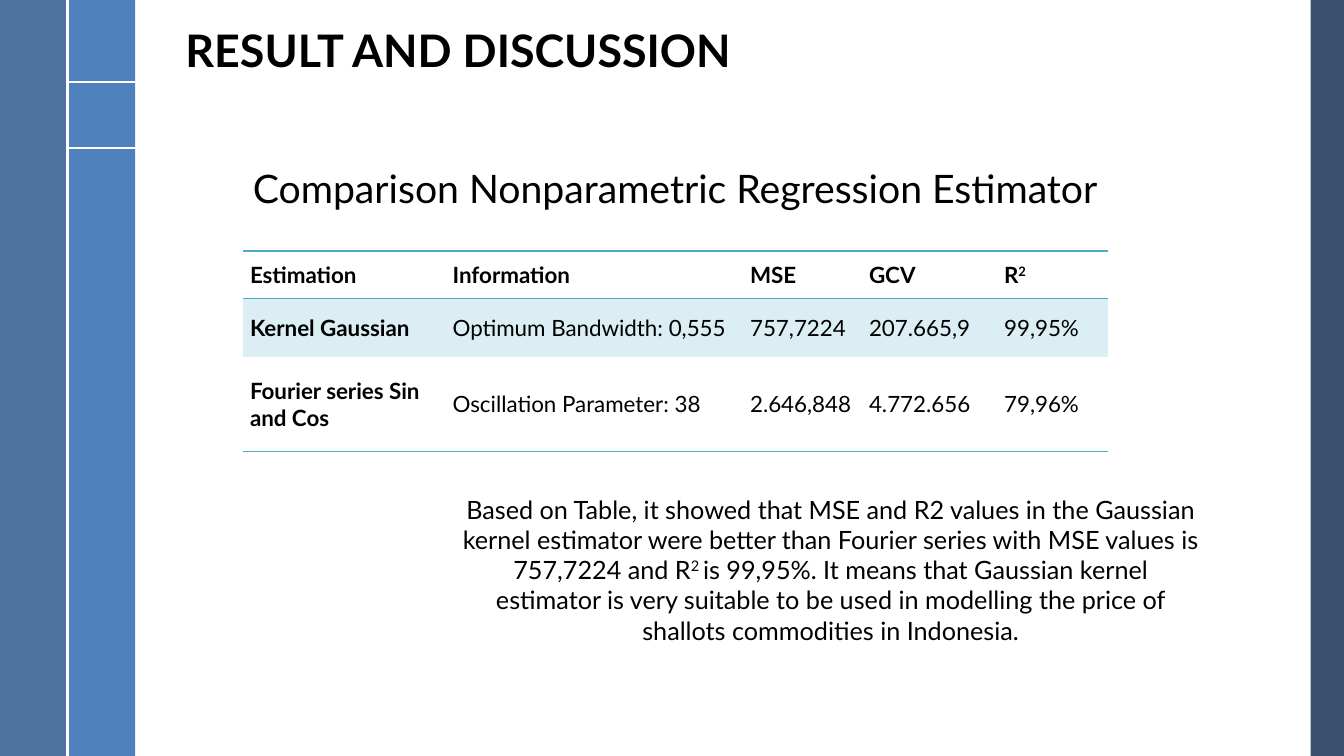
from lxml.etree import SubElement
from pptx import Presentation
from pptx.dml.color import RGBColor
from pptx.enum.shapes import MSO_CONNECTOR, MSO_SHAPE
from pptx.enum.text import MSO_ANCHOR, PP_ALIGN
from pptx.oxml import parse_xml
from pptx.oxml.ns import nsdecls, qn
from pptx.util import Pt

EMU_PER_PX = 9144  # 100 px to the inch
WIDTH, HEIGHT = 1333, 750
FONT = "Lato"
COLORS = {
    "ink": "000000", "white": "FFFFFF", "teal": "4BACC6",
    "blue": "4F81BD", "steel": "376092", "navy": "254061",
}


def px(length):
    return length * EMU_PER_PX


def rgb(name):
    return RGBColor.from_string(COLORS[name])


def assign(target, values):
    for name, value in values.items():
        setattr(target, name, value)


class SlideBuilder:
    def __init__(self, deck):
        self.page = deck.slides.add_slide(deck.slide_layouts[6])

    def paint(self, fill, element, color, opacity=100):
        fill.solid()
        fill.fore_color.rgb = rgb(color)
        if opacity < 100:
            tone = next(element.iter(qn("a:srgbClr")))
            SubElement(tone, qn("a:alpha"), val=str(opacity * 1000))

    def add_spans(self, frame, spans, size, bold=False, **para_format):
        """Fill a frame with (text, is_superscript) spans."""
        para = frame.paragraphs[0]
        assign(para, para_format)
        for text, raised in spans:
            span = para.add_run()
            span.text = text
            assign(span.font, {"name": FONT, "size": Pt(size), "bold": bold})
            span.font.color.rgb = rgb("ink")
            if raised:
                span.font._element.set("baseline", "30000")

    def bar(self, left, width, color, opacity=100):
        bar = self.page.shapes.add_shape(
            MSO_SHAPE.RECTANGLE, px(left), 0, px(width), px(HEIGHT))
        bar.shadow.inherit = False
        bar.line.fill.background()
        self.paint(bar.fill, bar._element, color, opacity)

    def line(self, *ends):
        line = self.page.shapes.add_connector(
            MSO_CONNECTOR.STRAIGHT, *map(px, ends))
        line.line.color.rgb = rgb("white")
        line.line.width = Pt(1.5)
        SubElement(line._element.spPr, qn("a:effectLst"))

    def text(self, place, spans, size, anchor=MSO_ANCHOR.TOP, **style):
        box = self.page.shapes.add_textbox(*map(px, place))
        assign(box.text_frame, {"word_wrap": True, "vertical_anchor": anchor})
        self.add_spans(box.text_frame, spans, size, **style)

    def borders(self, cell, ruled):
        """Rule the named sides of a cell and clear the others."""
        properties = cell._tc.get_or_add_tcPr()
        for index, side in enumerate("LRTB"):
            paint = "<a:noFill/>"
            if side in ruled:
                paint = (f'<a:solidFill><a:srgbClr val="{COLORS["teal"]}"/>'
                         "</a:solidFill>")
            properties.insert(index, parse_xml(
                f'<a:ln{side} {nsdecls("a")} w="12700">{paint}</a:ln{side}>'))

    def table(self, left, top, widths, heights, rows):
        table = self.page.shapes.add_table(
            len(rows), len(widths), px(left), px(top),
            px(sum(widths)), px(sum(heights))).table
        assign(table, {"first_row": False, "horz_banding": False})
        for column, width in zip(table.columns, widths):
            column.width = px(width)
        ruled_sides = ("TB", "T", "B")
        for r, (row, height) in enumerate(zip(rows, heights)):
            table.rows[r].height = px(height)
            for c, spans in enumerate(row):
                cell = table.cell(r, c)
                assign(cell, {
                    "vertical_anchor": MSO_ANCHOR.MIDDLE,
                    "margin_left": px(7), "margin_right": px(7),
                    "margin_top": 0, "margin_bottom": 0,
                })
                if r == 1:
                    self.paint(cell.fill, cell._tc, "teal", 20)
                else:
                    cell.fill.background()
                self.borders(cell, ruled_sides[r])
                self.add_spans(cell.text_frame, spans, 16,
                               bold=r == 0 or c == 0)


def plain(*texts):
    return [[(text, False)] for text in texts]


def main():
    deck = Presentation()
    assign(deck, {"slide_width": px(WIDTH), "slide_height": px(HEIGHT)})
    slide = SlideBuilder(deck)

    # Side bars and their dividers
    slide.bar(1300, 33, "navy", 90)
    slide.bar(67, 67, "blue")
    slide.bar(0, 67, "steel", 88)
    for y in (81, 147):
        slide.line(67, y, 134, y)
    slide.line(67, 0, 67, HEIGHT)

    # Headings
    slide.text((174, 24, 1122, 58), [("RESULT AND DISCUSSION", False)], 32,
               MSO_ANCHOR.MIDDLE, bold=True, line_spacing=0.9)
    slide.text((241, 155, 1000, 63),
               [("Comparison Nonparametric Regression Estimator", False)], 28,
               MSO_ANCHOR.MIDDLE)

    # Comparison table
    slide.table(241, 249, (201, 295, 118, 134, 110), (47, 58, 94), [
        plain("Estimation", "Information", "MSE", "GCV")
        + [[("R", False), ("2", True)]],
        plain("Kernel Gaussian", "Optimum Bandwidth: 0,555", "757,7224",
              "207.665,9", "99,95%"),
        plain("Fourier series Sin and Cos", "Oscillation Parameter: 38",
              "2.646,848", "4.772.656", "79,96%"),
    ])

    # Conclusion
    slide.text((446, 485, 756, 162), [
        ("Based on Table, it showed that MSE and R2 values in the Gaussian "
         "kernel estimator were better than Fourier series with MSE values "
         "is 757,7224 and R", False),
        ("2 ", True),
        ("is 99,95%. It means that Gaussian kernel estimator is very "
         "suitable to be used in modelling the price of shallots "
         "commodities in Indonesia.", False),
    ], 18, alignment=PP_ALIGN.CENTER)

    deck.save("out.pptx")


if __name__ == "__main__":
    main()
